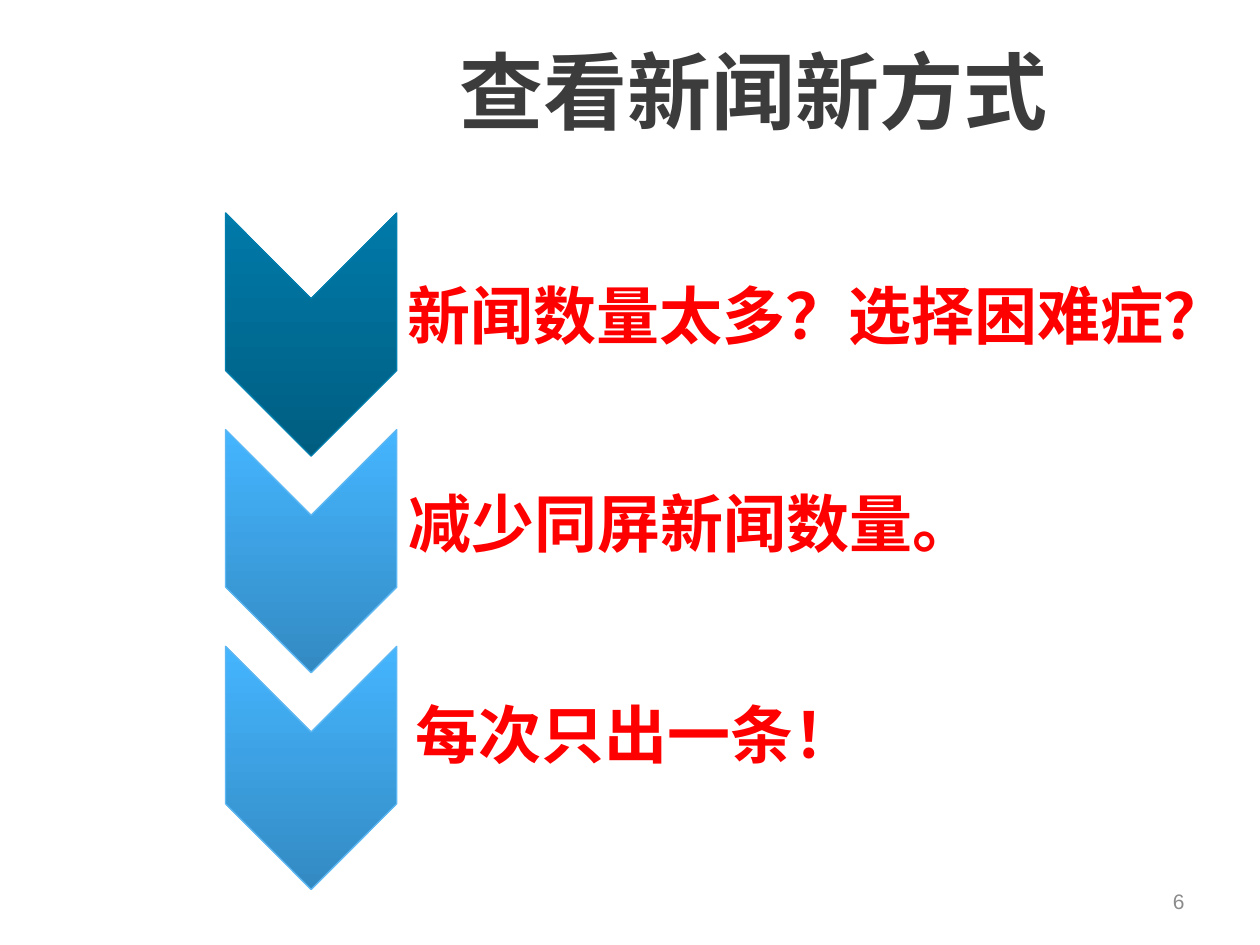
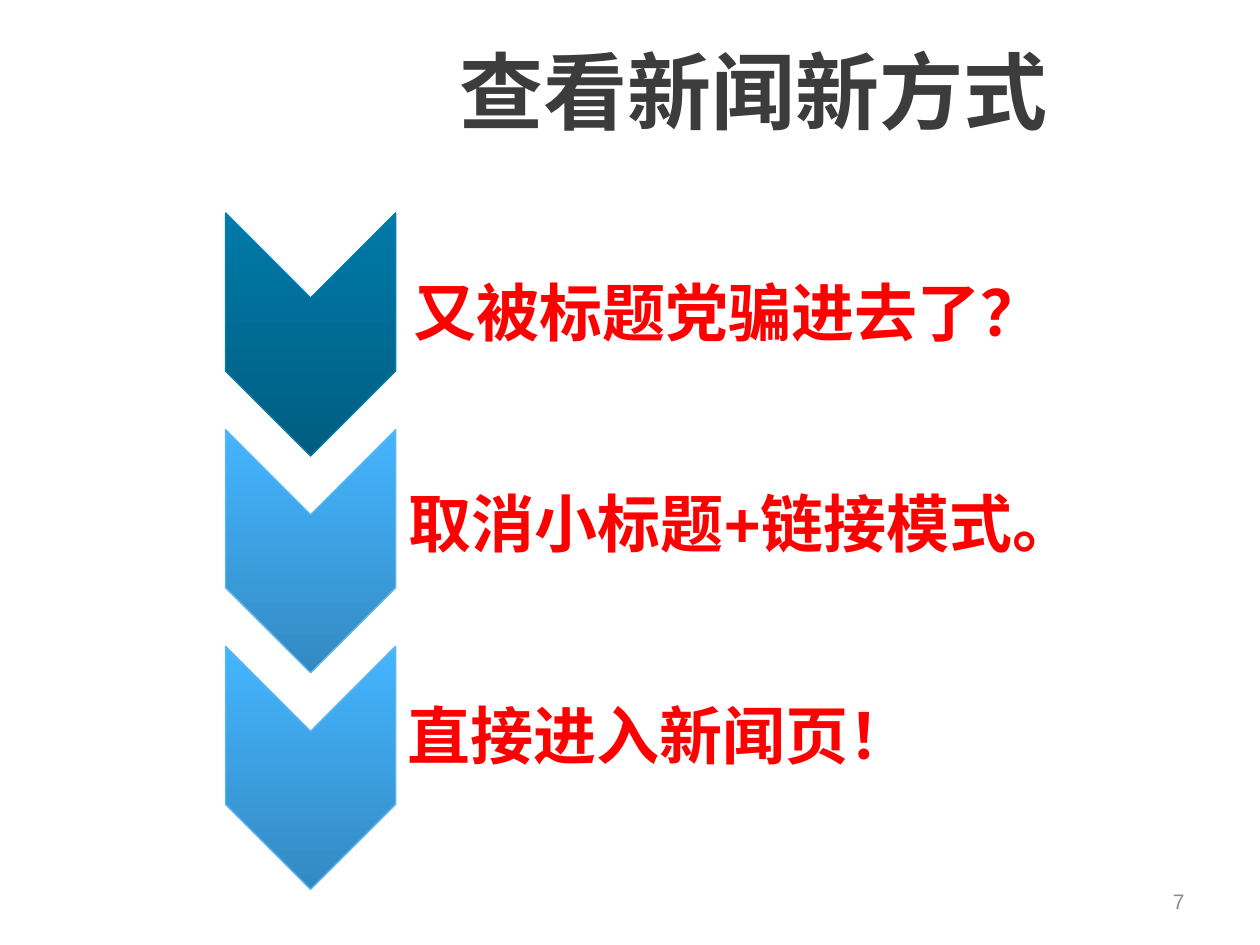
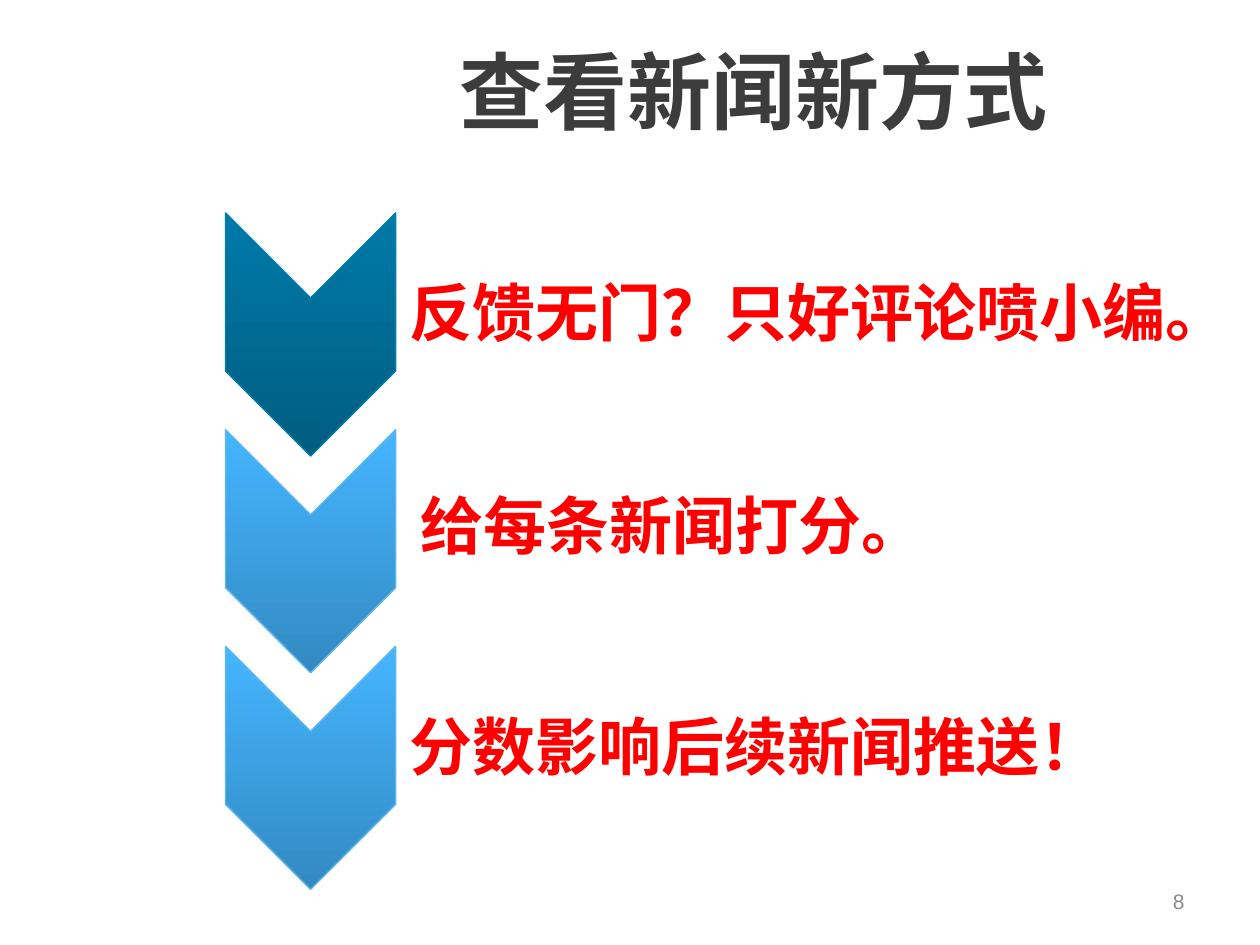
from lxml import etree
from pptx import Presentation
from pptx.dml.color import RGBColor
from pptx.enum.text import MSO_ANCHOR, MSO_AUTO_SIZE, PP_ALIGN
from pptx.oxml.ns import qn
from pptx.util import Inches, Pt

CENTER = PP_ALIGN.CENTER
RIGHT = PP_ALIGN.RIGHT
MIDDLE = MSO_ANCHOR.MIDDLE
NO_AUTOFIT = MSO_AUTO_SIZE.NONE
TITLE_ONLY = 5

LATIN_FONT = "Arial"
CHINESE_FONT = "Noto Sans CJK SC"
TITLE_COLOR = "3C3C3C"
NUMBER_COLOR = "8B8B8B"
STEP_TEXT_COLOR = "FF0000"
DARK_CHEVRON = ("005D80", "007AA9", "007EAE")
LIGHT_CHEVRON = ("338AC2", "45B5FF", "5DB7F2")

TITLE = "查看新闻新方式"
FIRST_NUMBER = 6
CHEVRON_LEFT = 1.79
CHEVRON_TOP = 1.69
CHEVRON_PITCH = 1.72
CHEVRON_HEIGHT = 1.93

SLIDES = [
    (1.36, [
        ("新闻数量太多？选择困难症？", (3.09, 2.07, 6.78, 0.92)),
        ("减少同屏新闻数量。", (2.81, 3.73, 5.37, 0.9)),
        ("每次只出一条！", (1.96, 5.34, 6.18, 1.04)),
    ]),
    (1.35, [
        ("又被标题党骗进去了？", (2.42, 2.05, 6.72, 0.92)),
        ("取消小标题+链接模式。", (2.8, 3.73, 6.18, 0.9)),
        ("直接进入新闻页！", (2.17, 5.35, 6.12, 1.04)),
    ]),
    (1.35, [
        ("反馈无门？只好评论喷小编。", (3.14, 2.05, 6.72, 0.92)),
        ("给每条新闻打分。", (2.25, 3.75, 6.18, 0.9)),
        ("分数影响后续新闻推送！", (2.94, 5.43, 6.12, 1.04)),
    ]),
]


def color(value):
    return RGBColor.from_string(value)


def write_text(shape, text, size, text_color, alignment, font_name=LATIN_FONT, bold=False):
    frame = shape.text_frame
    frame.word_wrap = True
    frame.auto_size = NO_AUTOFIT
    frame.vertical_anchor = MIDDLE
    paragraph = frame.paragraphs[0]
    paragraph.alignment = alignment
    run = paragraph.add_run()
    run.text = text
    run.font.size = Pt(size)
    run.font.bold = bold
    run.font.color.rgb = color(text_color)
    run.font.name = font_name
    east_asian = etree.Element(qn("a:ea"), typeface=CHINESE_FONT)
    run.font._element.find(qn("a:latin")).addnext(east_asian)
    return paragraph


def add_text(slide, box, *text_style, **options):
    shape = slide.shapes.add_textbox(*map(Inches, box))
    paragraph = write_text(shape, *text_style, **options)
    return shape.text_frame, paragraph


def add_title(slide):
    title = slide.shapes.title
    title.left, title.top = Inches(2.24), Inches(0.44)
    title.width, title.height = Inches(7.48), Inches(0.55)
    write_text(title, TITLE, 48, TITLE_COLOR, CENTER, CHINESE_FONT, bold=True)


def add_chevron(slide, top, width, colors):
    bottom_color, top_color, line_color = colors
    depth = width / 2
    middle = CHEVRON_LEFT + depth
    right = CHEVRON_LEFT + width
    bottom = top + CHEVRON_HEIGHT
    outline = [
        (right, top), (right, bottom - depth), (middle, bottom),
        (CHEVRON_LEFT, bottom - depth), (CHEVRON_LEFT, top), (middle, top + depth),
    ]
    points = [(Inches(x), Inches(y)) for x, y in outline]
    builder = slide.shapes.build_freeform(*points[0])
    builder.add_line_segments(points[1:], close=True)
    chevron = builder.convert_to_shape()
    chevron.shadow.inherit = False
    chevron.fill.gradient()
    chevron.fill.gradient_angle = 90
    for stop, stop_color in zip(chevron.fill.gradient_stops, (bottom_color, top_color)):
        stop.color.rgb = color(stop_color)
    chevron.line.color.rgb = color(line_color)
    chevron.line.width = Pt(0.75)


def add_step_text(slide, text, box):
    frame, paragraph = add_text(slide, box, text, 36, STEP_TEXT_COLOR, CENTER, bold=True)
    frame.margin_left = frame.margin_right = Inches(0.02)
    frame.margin_top = frame.margin_bottom = Inches(0.02)
    paragraph.line_spacing = 0.9
    paragraph.space_after = Pt(15.8)


def add_steps_slide(presentation, number, chevron_width, steps):
    slide = presentation.slides.add_slide(presentation.slide_layouts[TITLE_ONLY])
    add_text(slide, (7.17, 6.95, 2.33, 0.4), str(number), 12, NUMBER_COLOR, RIGHT)
    add_title(slide)
    for index, (text, box) in enumerate(steps):
        colors = LIGHT_CHEVRON if index else DARK_CHEVRON
        add_chevron(slide, CHEVRON_TOP + index * CHEVRON_PITCH, chevron_width, colors)
        add_step_text(slide, text, box)


def main():
    presentation = Presentation()
    presentation.slide_width = Inches(10)
    presentation.slide_height = Inches(7.5)
    for number, (chevron_width, steps) in enumerate(SLIDES, FIRST_NUMBER):
        add_steps_slide(presentation, number, chevron_width, steps)
    presentation.save("out.pptx")


if __name__ == "__main__":
    main()
